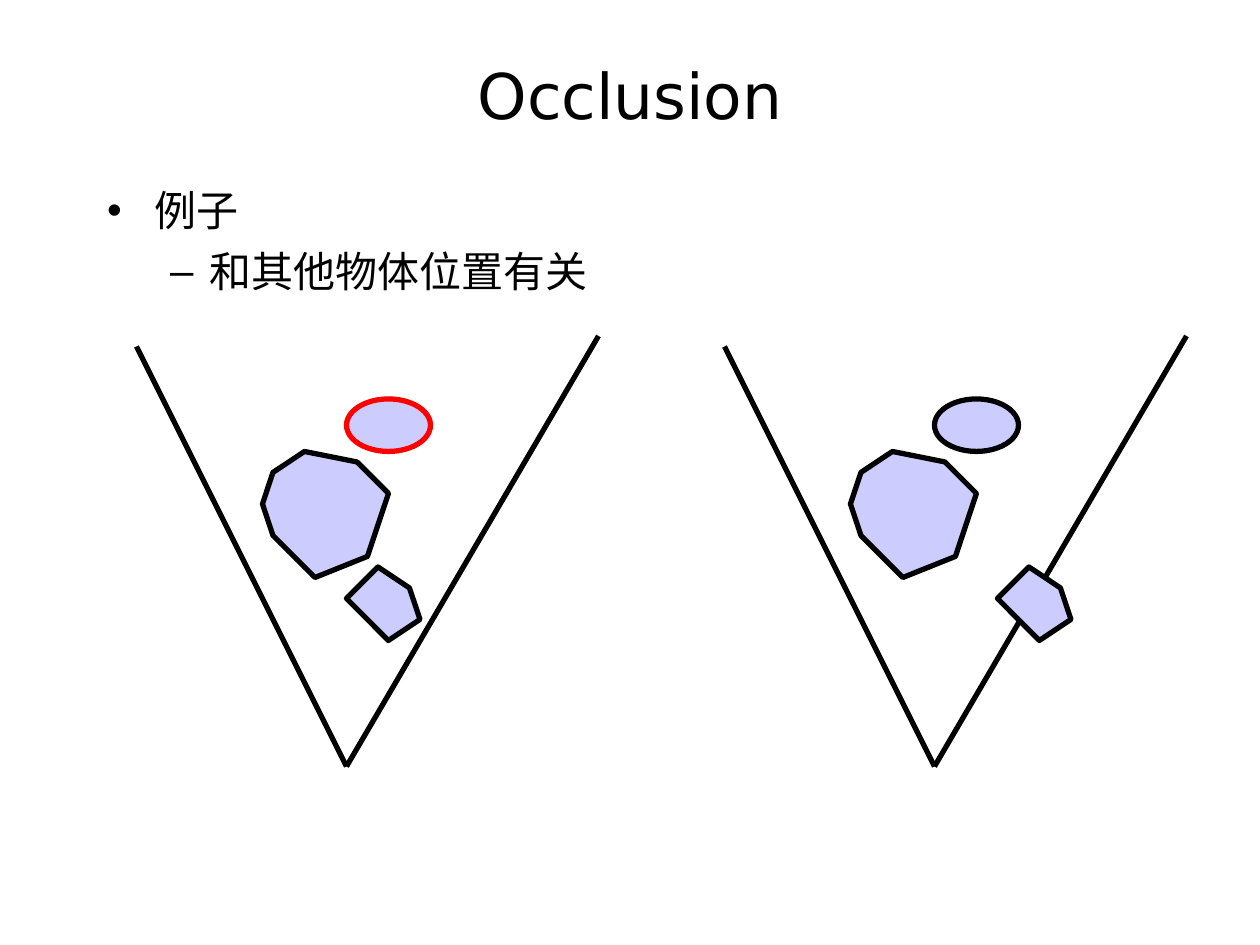
from pptx import Presentation
from pptx import util as u
from pptx.dml.color import RGBColor
from pptx.enum import shapes, text
from pptx.oxml.ns import qn
from lxml import etree

TITLE = "Occlusion"
BULLETS = [("例子", 0), ("和其他物体位置有关", 1)]
FONT, BLACK, RED, LILAC = "DejaVu Sans", "000000", "FF0000", "CCCCFF"

GRID = 2.54 / 12
VIEW_RAYS = [(-20, -40), (24, -41)]
LARGE_BLOCK = [(-8, -25), (-7, -22), (-3, -18), (2, -20),
               (4, -26), (1, -29), (-4, -30), (-7, -28)]
SMALL_BLOCK = [(0, -16), (3, -19), (6, -17), (7, -14), (4, -12)]
ELLIPSE = (0, -35, 8, 5)
VIEWS = [
    {"eye": (33, 73), "ellipse_line": RED, "small_shift": 0},
    {"eye": (89, 73), "ellipse_line": BLACK, "small_shift": 6},
]


def rgb(color):
    """Return the colour for a hex string."""
    return RGBColor.from_string(color)


def grid(n):
    """Return the length of n grid steps."""
    return u.Cm(n * GRID)


def points(eye, offsets, shift=0):
    """Return slide positions of offsets from the eye."""
    return [(grid(eye[0] + x + shift), grid(eye[1] + y)) for x, y in offsets]


def format_text(p, size):
    """Set the font of a paragraph."""
    p.font.name, p.font.size = FONT, u.Pt(size)
    p.font.color.rgb = rgb(BLACK)


def outline(sp, color=BLACK):
    """Draw a thick line on a shape or connector."""
    sp.line.color.rgb = rgb(color)
    sp.line.width = u.Pt(3)


def style(sp, color=BLACK):
    """Fill and outline a solid object."""
    sp.shadow.inherit = False
    sp.fill.solid()
    sp.fill.fore_color.rgb = rgb(LILAC)
    outline(sp, color)


def add_ray(group, start, end):
    """Add one edge of the viewing cone."""
    line = group.shapes.add_connector(shapes.MSO_CONNECTOR.STRAIGHT, *start, *end)
    outline(line)
    etree.SubElement(line._element.spPr, qn("a:effectLst"))


def add_block(group, corners):
    """Add a closed polygon."""
    builder = group.shapes.build_freeform(*corners[0])
    builder.add_line_segments(corners[1:], close=True)
    style(builder.convert_to_shape())


def add_view(slide, eye, ellipse_line, small_shift):
    """Add a viewing cone with its three objects."""
    group = slide.shapes.add_group_shape()
    start = points(eye, [(0, 0)])[0]
    for end in points(eye, VIEW_RAYS):
        add_ray(group, start, end)
    add_block(group, points(eye, LARGE_BLOCK))
    x, y, w, h = ELLIPSE
    sp = group.shapes.add_shape(shapes.MSO_SHAPE.OVAL, grid(eye[0] + x),
                                grid(eye[1] + y), grid(w), grid(h))
    style(sp, ellipse_line)
    add_block(group, points(eye, SMALL_BLOCK, small_shift))


def place(sp, left, top, width, height):
    """Move and size a placeholder, in grid steps."""
    sp.left, sp.top, sp.width, sp.height = map(grid, (left, top, width, height))
    sp.text_frame.auto_size = text.MSO_AUTO_SIZE.NONE


def main():
    """Build the slide and save it."""
    prs = Presentation()
    prs.slide_width, prs.slide_height = u.Cm(25.4), u.Cm(19.05)
    slide = prs.slides.add_slide(prs.slide_layouts[1])

    title, body = slide.placeholders
    place(title, 9, 3, 102, 12)
    title.text_frame.text = TITLE
    title.text_frame.vertical_anchor = text.MSO_ANCHOR.MIDDLE
    p = title.text_frame.paragraphs[0]
    p.alignment = text.PP_ALIGN.CENTER
    format_text(p, 36)

    place(body, 9, 17, 102, 63)
    tf = body.text_frame
    tf.text = "\n".join(words for words, _ in BULLETS)
    for p, (_, level) in zip(tf.paragraphs, BULLETS):
        p.level = level
        p.space_before = u.Pt(6)
        format_text(p, 24)

    for view in VIEWS:
        add_view(slide, **view)
    prs.save("out.pptx")


if __name__ == "__main__":
    main()
